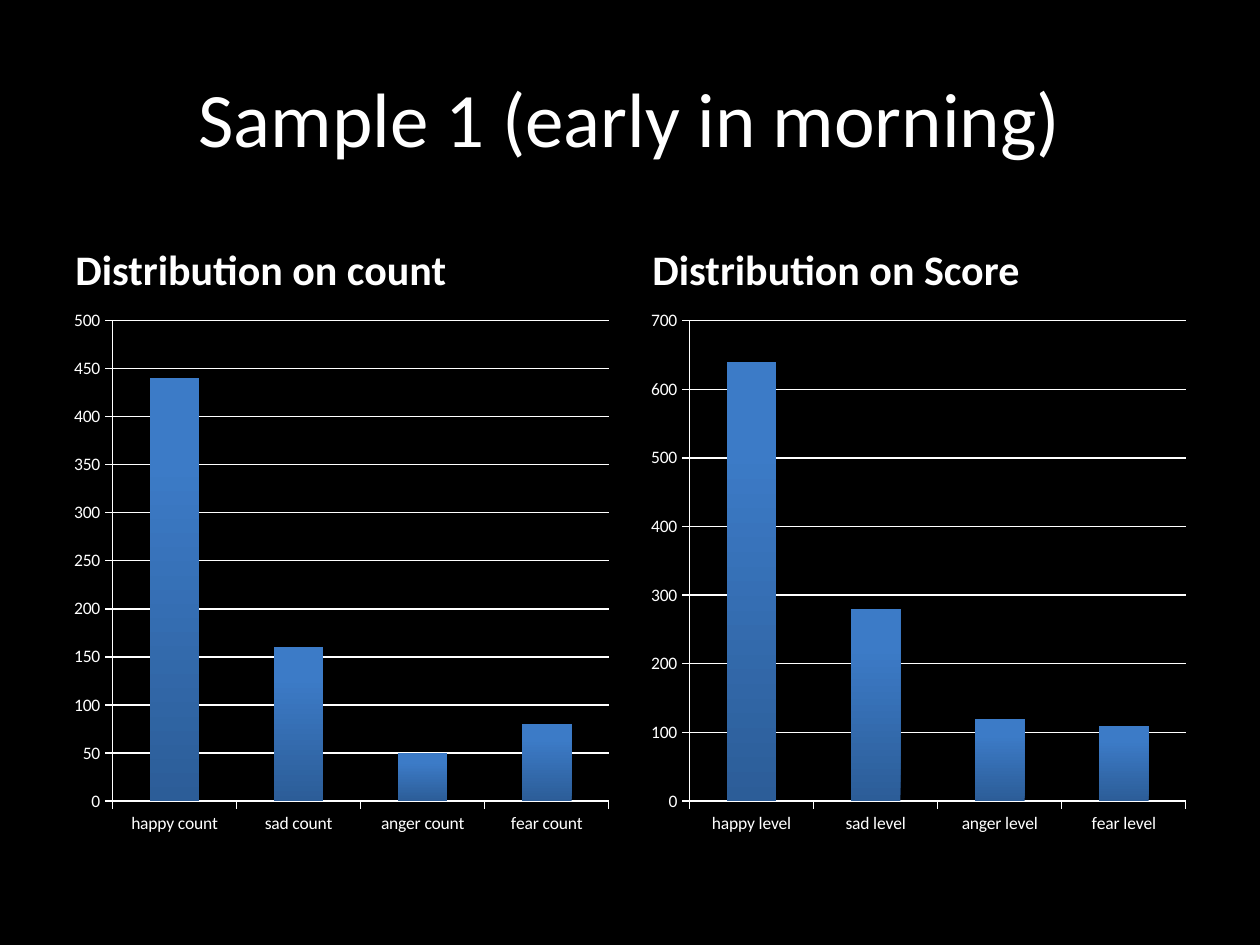
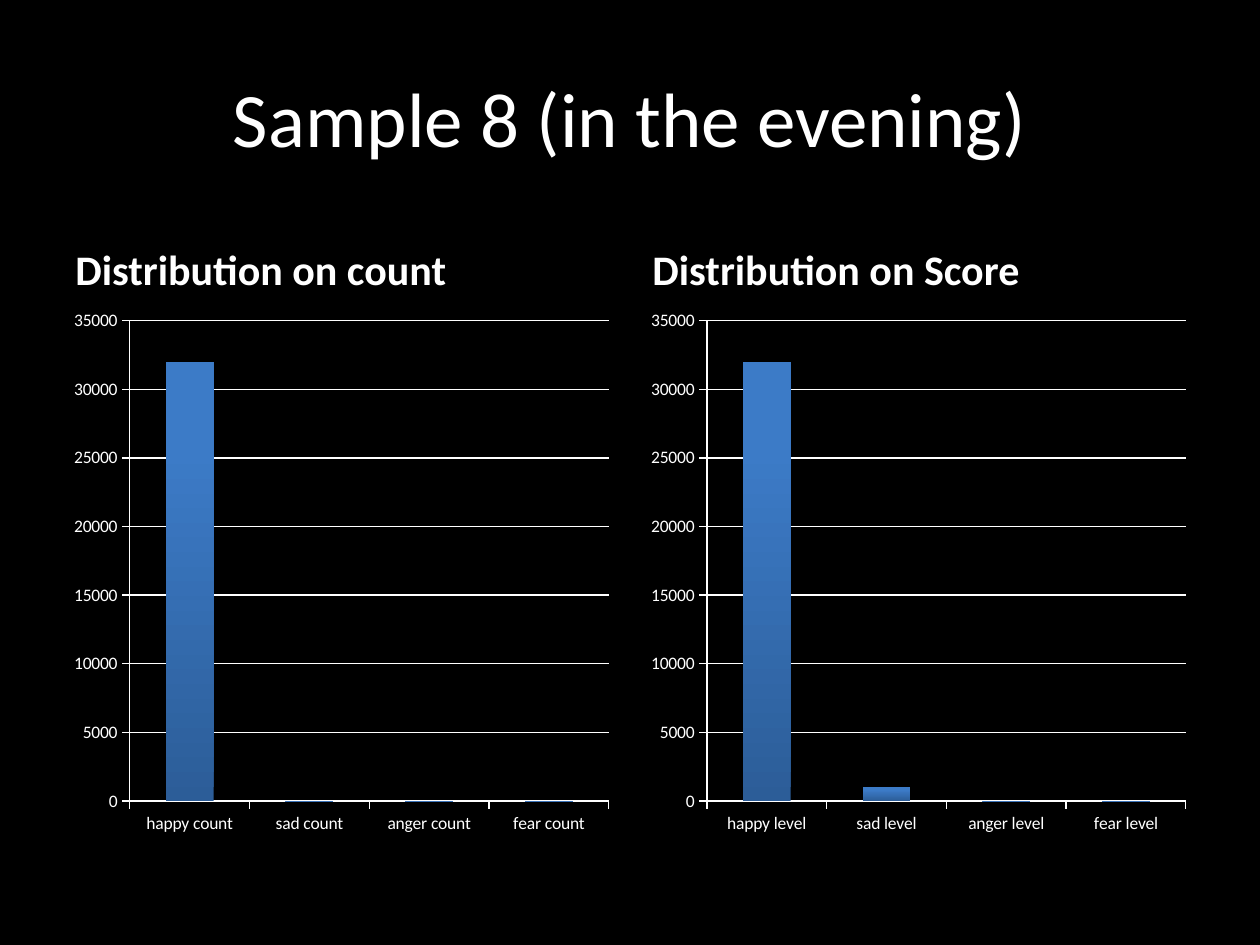
from collections import namedtuple

from pptx import Presentation
from pptx.chart.data import CategoryChartData
from pptx.dml.color import RGBColor
from pptx.enum.chart import XL_CHART_TYPE as ChartType, XL_TICK_MARK as TickMark
from pptx.enum.text import MSO_ANCHOR as Anchor, PP_ALIGN as Align
from pptx.util import Inches, Pt

# Shared look
FONT = "Calibri"
BACKGROUND, FOREGROUND = "000000", "FFFFFF"
BAR_STOPS = [(0, "2C5D98"), (0.8, "3C7BC7")]  # from the foot of the bar upwards

# Shared grid, in inches
WIDTH, HEIGHT = 10, 7.5
MARGIN, GUTTER = 0.5, 0.16
COLUMN = (WIDTH - 2 * MARGIN - GUTTER) / 2
HEADING_HEIGHT = 0.7

Box = namedtuple("Box", "left top width height")
TITLE_BOX = Box(MARGIN, 0.3, WIDTH - 2 * MARGIN, 1.25)
PANEL_BOXES = [
    Box(MARGIN + index * (COLUMN + GUTTER), 1.68, COLUMN, 5.02) for index in range(2)
]

EMOTIONS = ["happy", "sad", "anger", "fear"]
PANELS = [("Distribution on count", "count"), ("Distribution on Score", "level")]

# Title, then for each panel the values and the top of the axis and its step
SAMPLES = [
    ("Sample 1 (early in morning)",
     [([440, 160, 50, 80], 500, 50), ([640, 280, 120, 110], 700, 100)]),
    ("Sample 8 (in the evening)",
     [([32000, 0, 0, 0], 35000, 5000), ([32000, 1000, 0, 0], 35000, 5000)]),
]


def colour(hex_string):
    return RGBColor.from_string(hex_string)


def inches(box):
    return [Inches(length) for length in box]


def style_font(font, size, bold=False):
    font.name, font.size, font.bold = FONT, Pt(size), bold
    font.color.rgb = colour(FOREGROUND)


def add_text(slide, box, text, size, bold=False, align=Align.LEFT, anchor=Anchor.MIDDLE):
    frame = slide.shapes.add_textbox(*inches(box)).text_frame
    frame.word_wrap = True
    frame.vertical_anchor = anchor
    paragraph = frame.paragraphs[0]
    paragraph.alignment = align
    run = paragraph.add_run()
    run.text = text
    style_font(run.font, size, bold)


def style_line(line):
    line.color.rgb = colour(FOREGROUND)
    line.width = Pt(0.75)


def add_column_chart(slide, box, categories, values, top, step):
    data = CategoryChartData()
    data.categories = categories
    data.add_series("Series 1", values)
    chart = slide.shapes.add_chart(
        ChartType.COLUMN_CLUSTERED, *inches(box), data
    ).chart
    chart.has_legend = chart.has_title = False
    style_font(chart.font, 10)

    # Axes
    for axis in (chart.category_axis, chart.value_axis):
        axis.major_tick_mark = TickMark.OUTSIDE
        axis.minor_tick_mark = TickMark.NONE
        style_line(axis.format.line)
    value_axis = chart.value_axis
    value_axis.minimum_scale, value_axis.maximum_scale = 0, top
    value_axis.major_unit = step
    value_axis.has_major_gridlines = True
    style_line(value_axis.major_gridlines.format.line)

    # Bars
    plot = chart.plots[0]
    plot.gap_width = 150
    plot.vary_by_categories = False
    fill = plot.series[0].format.fill
    fill.gradient()
    fill.gradient_angle = 90
    for stop, (position, hex_string) in zip(fill.gradient_stops, BAR_STOPS):
        stop.position = position
        stop.color.rgb = colour(hex_string)


def add_panel(slide, box, heading, measure, values, top, step):
    """A heading with a column chart below it."""
    add_text(slide, box._replace(height=HEADING_HEIGHT), heading,
             size=24, bold=True, anchor=Anchor.BOTTOM)
    chart_box = box._replace(top=box.top + HEADING_HEIGHT,
                             height=box.height - HEADING_HEIGHT)
    categories = [f"{emotion} {measure}" for emotion in EMOTIONS]
    add_column_chart(slide, chart_box, categories, values, top, step)


def add_sample_slide(presentation, title, charts):
    slide = presentation.slides.add_slide(presentation.slide_layouts[6])
    background = slide.background.fill
    background.solid()
    background.fore_color.rgb = colour(BACKGROUND)
    add_text(slide, TITLE_BOX, title, size=44, align=Align.CENTER)
    for box, (heading, measure), chart in zip(PANEL_BOXES, PANELS, charts):
        add_panel(slide, box, heading, measure, *chart)


def main():
    presentation = Presentation()
    presentation.slide_width = Inches(WIDTH)
    presentation.slide_height = Inches(HEIGHT)
    for title, charts in SAMPLES:
        add_sample_slide(presentation, title, charts)
    presentation.save("out.pptx")


if __name__ == "__main__":
    main()
